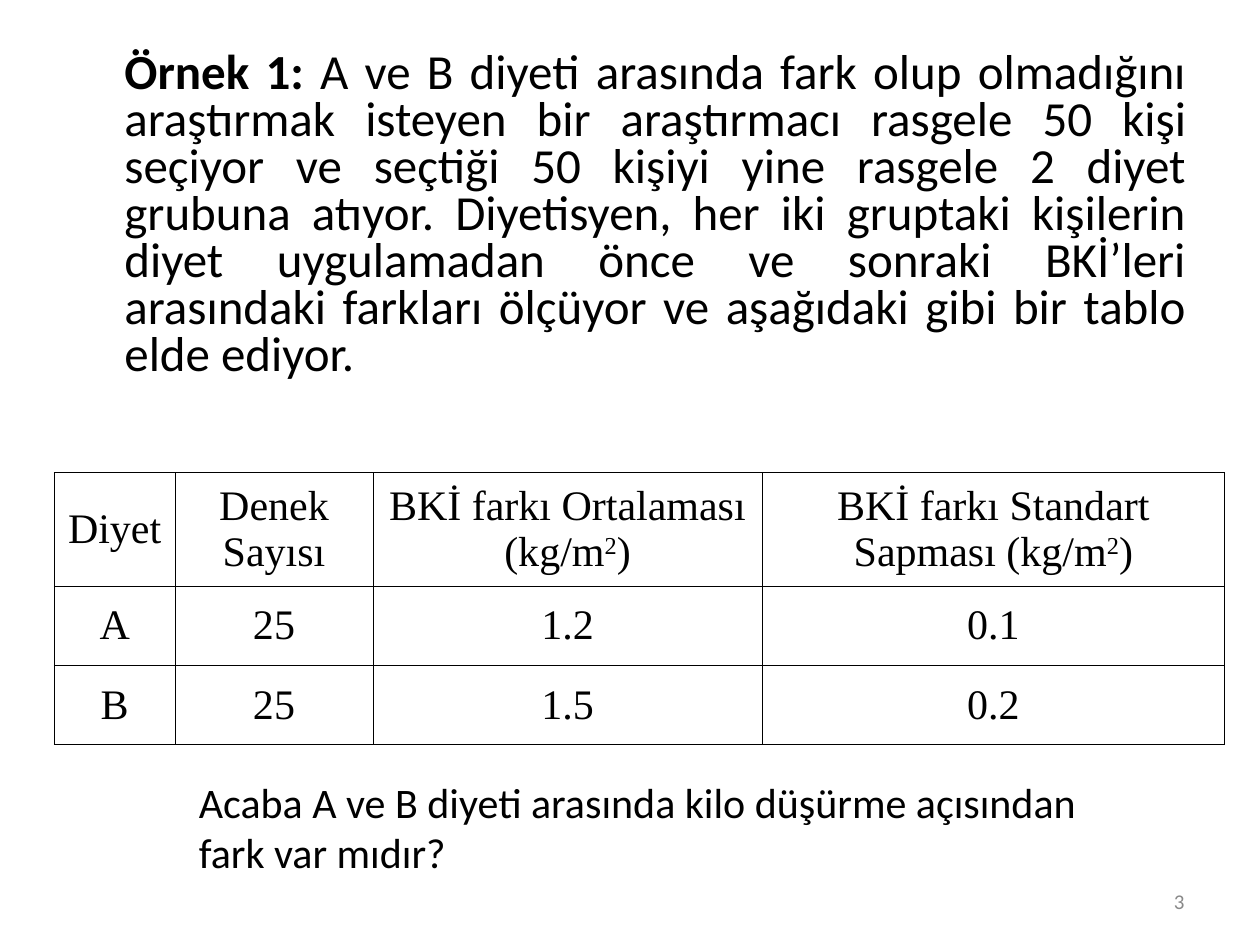
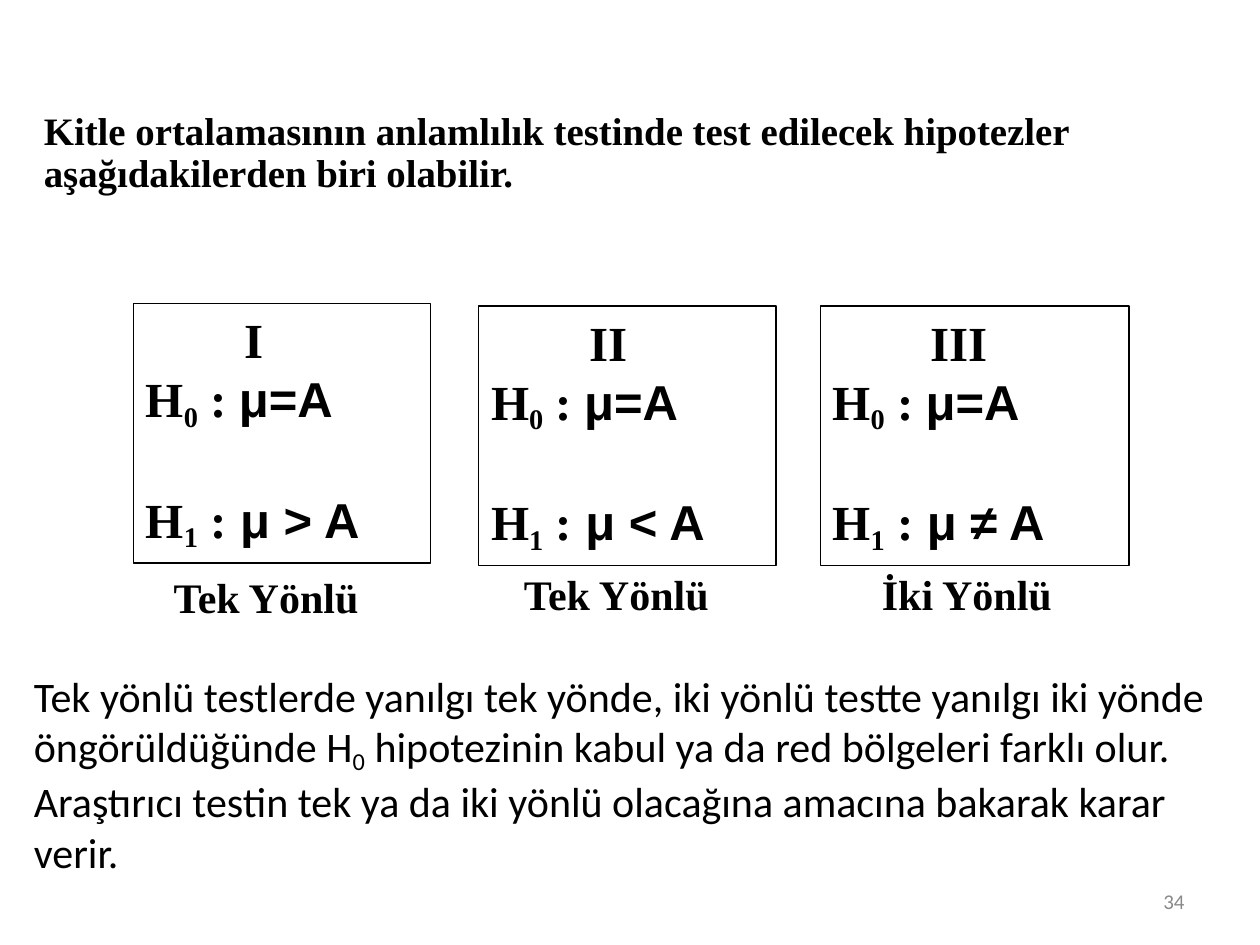
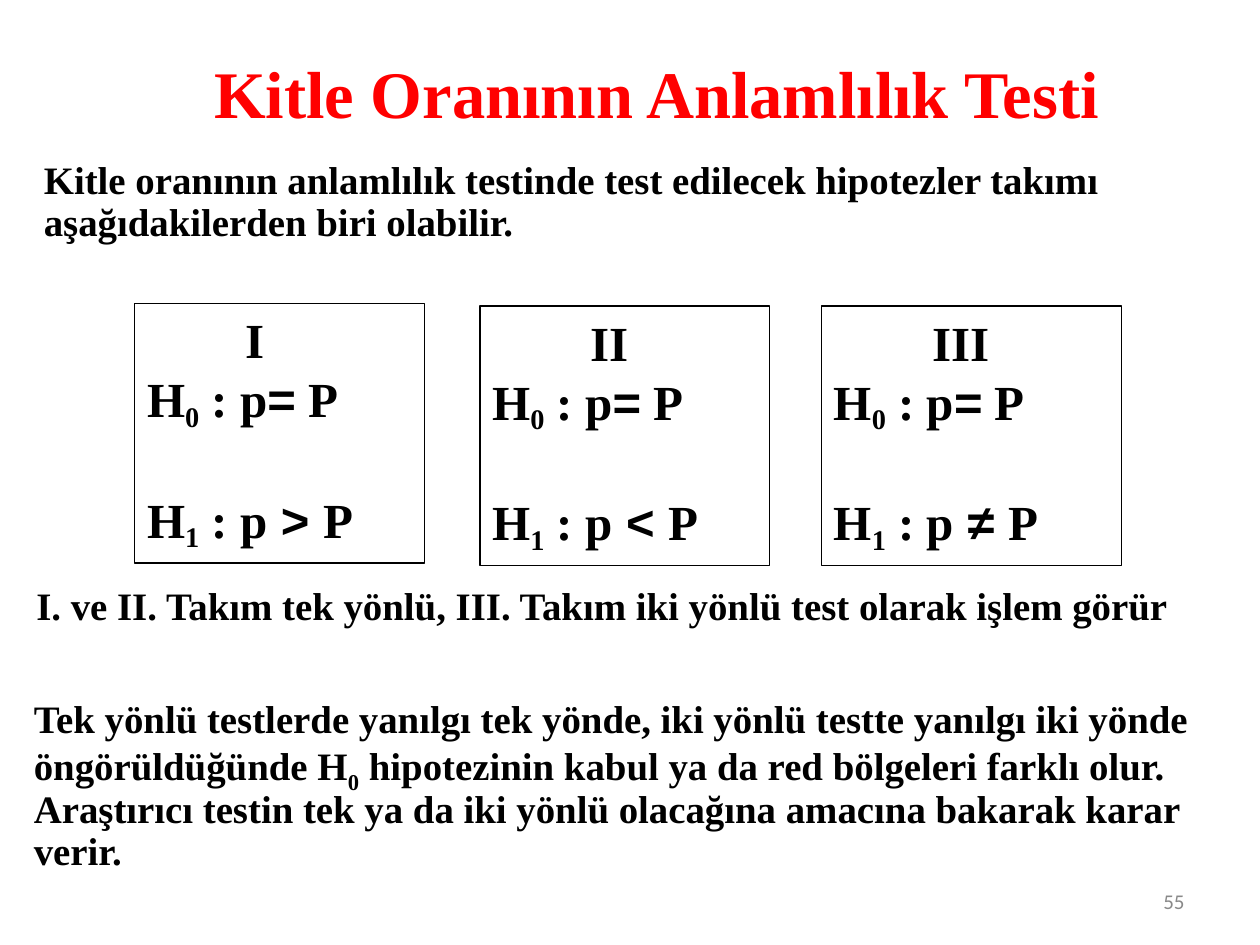
"""Builds three slides on diet groups and hypothesis tests."""
from lxml import etree
from pptx import Presentation
from pptx.dml.color import RGBColor
from pptx.enum.shapes import MSO_SHAPE
from pptx.enum.text import MSO_ANCHOR, PP_ALIGN
from pptx.oxml.ns import qn
from pptx.util import Inches, Pt

RECT = MSO_SHAPE.RECTANGLE
MIDDLE = MSO_ANCHOR.MIDDLE
LEFT, CENTER, RIGHT, JUSTIFY = PP_ALIGN.LEFT, PP_ALIGN.CENTER, PP_ALIGN.RIGHT, PP_ALIGN.JUSTIFY
BLACK = RGBColor(0x00, 0x00, 0x00)
RED = RGBColor(0xFF, 0x00, 0x00)
GRAY = RGBColor(0x89, 0x89, 0x89)
SERIF, SANS, BODY = "Times New Roman", "Arial", "Calibri"
LEAD = {"size": 22.2, "bold": True, "spacing": 0.9}

prs = Presentation()
prs.slide_width, prs.slide_height = Inches(10), Inches(7.5)
UNIT = prs.slide_width // 100


def write(tf, runs, size=24, font=SERIF, bold=False, color=BLACK, align=LEFT,
          spacing=None, before=0, indent=0):
    """Add a paragraph; a run is a string or a (string, options) pair."""
    p = tf.add_paragraph() if tf.text else tf.paragraphs[0]
    p.alignment = align
    if spacing:
        p.line_spacing = spacing
    if before:
        p.space_before = Pt(before)
    if indent:
        p._p.get_or_add_pPr().set("marL", str(int(indent * UNIT)))
    for run in runs:
        text, options = (run, {}) if isinstance(run, str) else run
        r = p.add_run()
        r.text = text
        r.font.size = Pt(size)
        r.font.name = options.get("font", font)
        r.font.bold = options.get("bold", bold)
        r.font.color.rgb = color
        if "base" in options:
            r.font._element.set("baseline", str(options["base"] * 1000))


def box(s, x, y, w, h, outlined=False, anchor=MSO_ANCHOR.TOP):
    """Return the text frame of a box placed in grid units."""
    place = [int(v * UNIT) for v in (x, y, w, h)]
    if outlined:
        sp = s.shapes.add_shape(RECT, *place)
        sp.shadow.inherit = False
        sp.fill.background()
        sp.line.color.rgb = BLACK
        sp.line.width = Pt(0.75)
    else:
        sp = s.shapes.add_textbox(*place)
    tf = sp.text_frame
    tf.word_wrap = True
    tf.vertical_anchor = anchor
    return tf


diet, mean, ratio = [prs.slides.add_slide(prs.slide_layouts[6]) for _ in range(3)]
for s, number in ((diet, "3"), (mean, "34"), (ratio, "55")):
    write(box(s, 71.7, 69.5, 23.3, 4, anchor=MIDDLE), [number],
          size=12, font=BODY, color=GRAY, align=RIGHT)

write(box(diet, 5.1, 3.6, 90, 27.6), [
    ("Örnek 1:", {"bold": True}),
    " A ve B diyeti arasında fark olup olmadığını araştırmak isteyen bir araştırmacı "
    "rasgele 50 kişi seçiyor ve seçtiği 50 kişiyi yine rasgele 2 diyet grubuna atıyor. "
    "Diyetisyen, her iki gruptaki kişilerin diyet uygulamadan önce ve sonraki BKİ’leri "
    "arasındaki farkları ölçüyor ve aşağıdaki gibi bir tablo elde ediyor.",
], size=28, font=BODY, align=JUSTIFY, spacing=0.8, indent=3.8)

SQUARE = ("2", {"base": 30})
rows = [
    [["Diyet"], ["Denek Sayısı"], ["BKİ farkı Ortalaması (kg/m", SQUARE, ")"],
     ["BKİ farkı Standart Sapması (kg/m", SQUARE, ")"]],
    [["A"], ["25"], ["1.2"], ["0.1"]],
    [["B"], ["25"], ["1.5"], ["0.2"]],
]
col_widths, row_heights = (9.6, 15.7, 30.9, 36.7), (9, 6.3, 6.3)
table = diet.shapes.add_table(3, 4, int(4.3 * UNIT), int(37.5 * UNIT),
                              int(sum(col_widths) * UNIT),
                              int(sum(row_heights) * UNIT)).table
table.first_row = table.horz_banding = False
for column, width in zip(table.columns, col_widths):
    column.width = int(width * UNIT)
for i, row in enumerate(rows):
    table.rows[i].height = int(row_heights[i] * UNIT)
    for j, runs in enumerate(row):
        cell = table.cell(i, j)
        cell.vertical_anchor = MIDDLE
        tcPr = cell._tc.get_or_add_tcPr()
        for side in ("a:lnL", "a:lnR", "a:lnT", "a:lnB"):
            ln = etree.SubElement(tcPr, qn(side), w=str(Pt(0.45)))
            fill = etree.SubElement(ln, qn("a:solidFill"))
            etree.SubElement(fill, qn("a:srgbClr"), val=str(BLACK))
        cell.fill.background()
        write(cell.text_frame, runs, align=CENTER)

write(box(diet, 14.8, 61.1, 74, 9, anchor=MIDDLE),
      ["Acaba A ve B diyeti arasında kilo düşürme açısından fark var mıdır?"], font=BODY)

for s, y, subject in ((mean, 8.4, "ortalamasının anlamlılık testinde test edilecek hipotezler"),
                      (ratio, 12.3, "oranının anlamlılık testinde test edilecek hipotezler takımı")):
    write(box(s, 2.5, y, 96.4, 9),
          [f"Kitle {subject} aşağıdakilerden biri olabilir."], **LEAD)

hypotheses = (
    (mean, 10.6, (23.6, 23.6, 24.5), (" : ", "μ=Α", ""), (" :", " μ {} Α", "")),
    (ratio, 10.7, (23, 23, 23.8), (" : p", "=", " P"), (" : p", " {} ", "P")),
)
for s, x, widths, null, alternative in hypotheses:
    for dx, y, w, numeral, sign in zip((0, 27.4, 54.5), (24.1, 24.3, 24.3), widths,
                                       ("I", "II", "III"), (">", "<", "≠")):
        tf = box(s, x + dx, y, w, 20.6, outlined=True)
        write(tf, [numeral], size=28, bold=True, indent=7.8)
        for index, parts, before in (("0", null, 0), ("1", alternative, 32)):
            start, relation, end = parts
            runs = ["H", (index, {"base": -20}), start,
                    (relation.format(sign), {"font": SANS})]
            write(tf, runs + [end] if end else runs, size=28, bold=True, before=before)

for x, y, label in ((12.8, 44.9, "Tek Yönlü"), (40.6, 44.6, "Tek Yönlü"),
                    (69, 44.6, "İki Yönlü")):
    write(box(mean, x, y, 17.1, 5), [label], bold=True)

write(box(ratio, 1.9, 46.1, 96.4, 4.9),
      ["I. ve II. Takım tek yönlü, III. Takım iki yönlü test olarak işlem görür"], **LEAD)
write(box(ratio, 16, 3.6, 73.2, 7.4), ["Kitle Oranının Anlamlılık Testi"],
      size=38, bold=True, color=RED)

for s, y, base, style in ((mean, 52.7, -20, {"font": BODY}), (ratio, 55.1, -25, LEAD)):
    write(box(s, 1.7, y, 97.5, 17.4), [
        "Tek yönlü testlerde yanılgı tek yönde, iki yönlü testte yanılgı iki yönde "
        "öngörüldüğünde H",
        ("0", {"base": base}),
        " hipotezinin kabul ya da red bölgeleri farklı olur. Araştırıcı testin tek ya da "
        "iki yönlü olacağına amacına bakarak karar verir.",
    ], **style)

prs.save("out.pptx")
